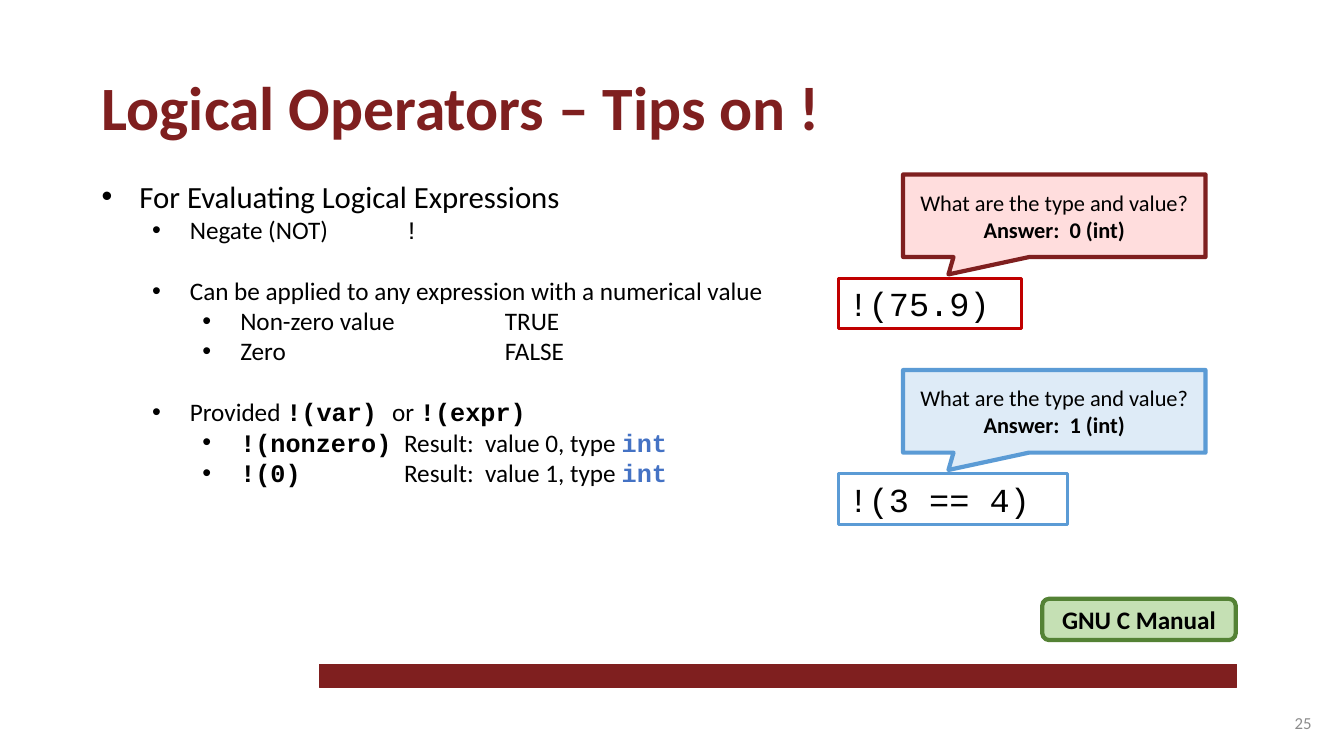
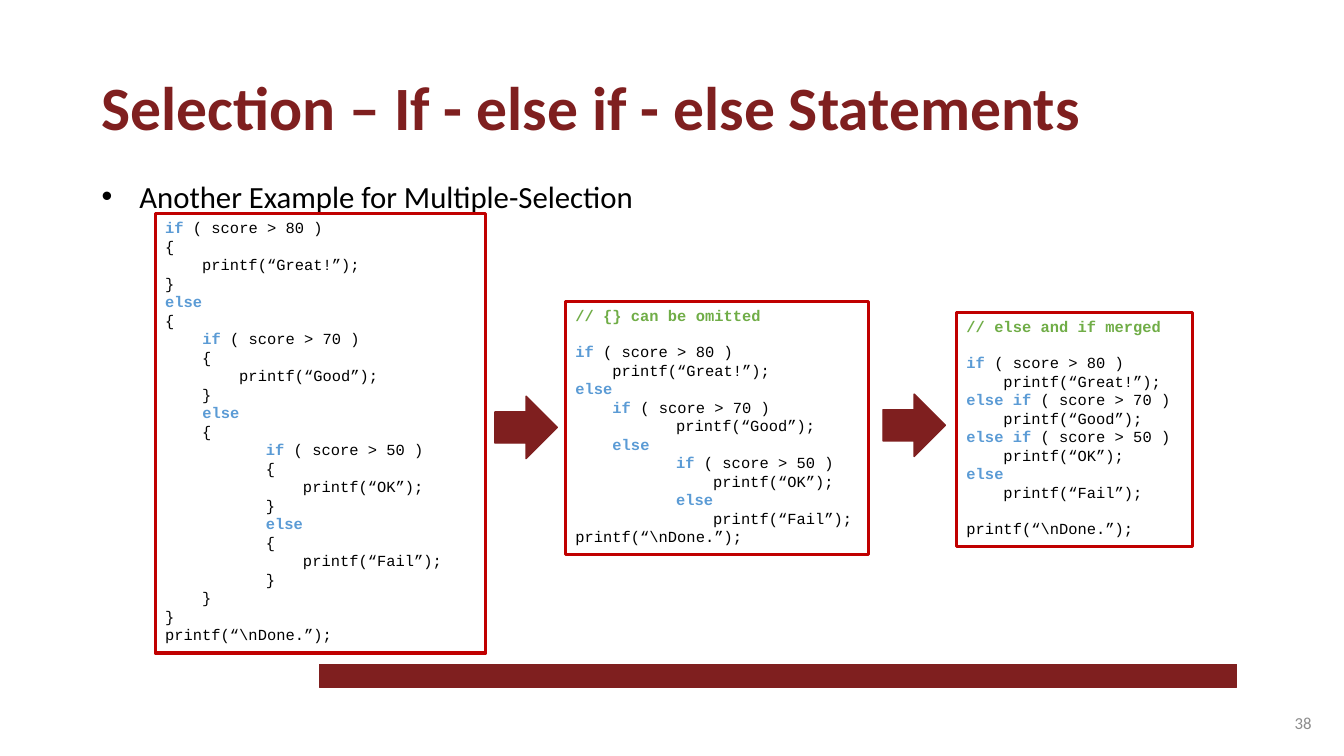
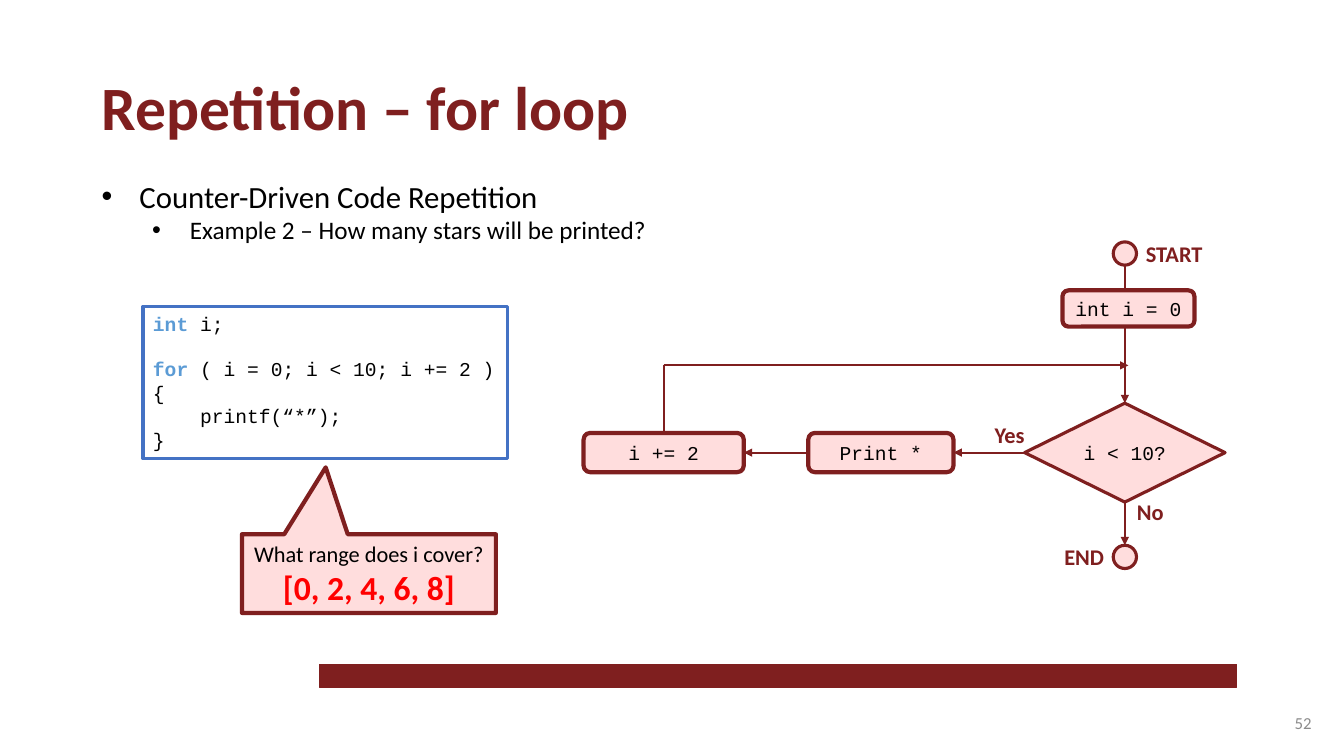
import dataclasses
import typing

import lxml.etree
import pptx
import pptx.dml.color
import pptx.enum.shapes
import pptx.enum.text
import pptx.oxml.ns
import pptx.shapes.base
import pptx.shapes.connector
import pptx.slide
import pptx.util

Pt = pptx.util.Pt
MSO = pptx.enum.shapes.MSO_SHAPE
ALIGN = pptx.enum.text.PP_ALIGN
ANCHOR = pptx.enum.text.MSO_ANCHOR
qn = pptx.oxml.ns.qn

MAROON, PINK, RED = "7F1F1F", "FFDDDD", "C00000"
BLUE, PALE_BLUE, ROYAL = "5B9BD5", "DEEBF7", "4472C4"
BLACK, WHITE, GRAY = "000000", "FFFFFF", "8C8C8C"
COMMENT, GREEN, PALE_GREEN = "70AD47", "548235", "C5E0B4"
SANS, MONO = "Calibri", "Courier New"
KEYWORDS = ("else if", "else", "if", "int", "for")
MONO_LEADING = 1.133
TAB = 72
INDENT, HANG = 36, 27


@dataclasses.dataclass(frozen=True)
class Run:
    text: str
    font: str = SANS
    color: str = BLACK
    bold: bool = False


@dataclasses.dataclass(frozen=True)
class Para:
    runs: tuple[Run, ...]
    size: float = 18
    align: typing.Any = ALIGN.LEFT
    before: float = 0
    level: typing.Optional[int] = None


@dataclasses.dataclass(frozen=True)
class Rect:
    x: float
    y: float
    w: float
    h: float


@dataclasses.dataclass(frozen=True)
class Style:
    fill: str
    line: str
    width: float


BAND = Style(MAROON, MAROON, 1)
NODE = Style(PINK, MAROON, 3)
THIN_NODE = Style(PINK, MAROON, 2.25)
CODE = Style(WHITE, RED, 2.25)


def rgb(color: str) -> pptx.dml.color.RGBColor:
    return pptx.dml.color.RGBColor.from_string(color)


def write(sp: typing.Any, paras: typing.Sequence[Para], anchor: typing.Any, wrap: bool = True) -> None:
    tf = sp.text_frame
    tf.word_wrap = wrap
    tf.vertical_anchor = anchor
    for i, para in enumerate(paras):
        p = tf.add_paragraph() if i else tf.paragraphs[0]
        ppr = p._p.get_or_add_pPr()
        ppr.set("defTabSz", str(Pt(TAB)))
        if para.level is not None:
            ppr.set("marL", str(Pt(HANG + INDENT * para.level)))
            ppr.set("indent", str(-Pt(HANG)))
            lxml.etree.SubElement(ppr, qn("a:buFont")).set("typeface", "Arial")
            lxml.etree.SubElement(ppr, qn("a:buChar")).set("char", "•")
        p.alignment = para.align
        if para.before:
            p.space_before = Pt(para.before)
        for run in para.runs:
            r = p.add_run()
            r.text = run.text
            r.font.name = run.font
            r.font.size = Pt(para.size)
            r.font.bold = run.bold
            r.font.color.rgb = rgb(run.color)


def add_text(s: pptx.slide.Slide, at: Rect, paras: typing.Sequence[Para], anchor: typing.Any = ANCHOR.TOP) -> None:
    sp = s.shapes.add_textbox(Pt(at.x), Pt(at.y), Pt(at.w), Pt(at.h))
    write(sp, paras, anchor)


def add_shape(
    s: pptx.slide.Slide,
    kind: typing.Any,
    at: Rect,
    style: Style,
    paras: typing.Sequence[Para] = (),
    anchor: typing.Any = ANCHOR.MIDDLE,
    wrap: bool = True,
    adjust: typing.Sequence[float] = (),
) -> pptx.shapes.base.BaseShape:
    sp = s.shapes.add_shape(kind, Pt(at.x), Pt(at.y), Pt(at.w), Pt(at.h))
    sp.shadow.inherit = False
    sp.fill.solid()
    sp.fill.fore_color.rgb = rgb(style.fill)
    sp.line.color.rgb = rgb(style.line)
    sp.line.width = Pt(style.width)
    for i, value in enumerate(adjust):
        sp.adjustments[i] = value
    if paras:
        write(sp, paras, anchor, wrap)
    return sp


def add_line(
    s: pptx.slide.Slide, x1: float, y1: float, x2: float, y2: float, arrow: bool = True
) -> pptx.shapes.connector.Connector:
    line = s.shapes.add_connector(
        pptx.enum.shapes.MSO_CONNECTOR.STRAIGHT, Pt(x1), Pt(y1), Pt(x2), Pt(y2))
    line.line.color.rgb = rgb(MAROON)
    line.line.width = Pt(1.5)
    if arrow:
        lxml.etree.SubElement(line.line._get_or_add_ln(), qn("a:tailEnd")).set("type", "triangle")
    lxml.etree.SubElement(line._element.spPr, qn("a:effectLst"))
    return line


def code_runs(line: str) -> tuple[Run, ...]:
    if line.startswith("//"):
        return (Run(line, MONO, COMMENT, True),)
    body = line.lstrip(" \t")
    lead = line[:len(line) - len(body)]
    word = next((k for k in KEYWORDS if body.startswith(k)), "")
    parts = (Run(lead, MONO), Run(word, MONO, BLUE, True), Run(body[len(word):], MONO))
    return tuple(part for part in parts if part.text)


def add_code(s: pptx.slide.Slide, at: Rect, code: str, size: float, style: Style = CODE) -> None:
    paras: list[Para] = []
    gap = 0.0
    for line in code.strip("\n").split("\n"):
        if line:
            paras.append(Para(code_runs(line), size, before=gap))
            gap = 0.0
        else:
            gap += round(size * MONO_LEADING, 2)
    add_shape(s, MSO.RECTANGLE, at, style, paras, ANCHOR.TOP)


def centered(text: str, size: float, font: str = SANS, color: str = BLACK, bold: bool = False) -> Para:
    return Para((Run(text, font, color, bold),), size, ALIGN.CENTER)


def bullet(level: int, *runs: Run, before: float = 0) -> Para:
    return Para(runs, 18 if level else 22, before=before, level=level)


def add_slide(
    prs: typing.Any, title: str, number: int, bullets: typing.Sequence[Para]
) -> pptx.slide.Slide:
    s = prs.slides.add_slide(prs.slide_layouts[6])
    add_shape(s, MSO.RECTANGLE, Rect(228.2, 474.5, 655.2, 16.6), BAND)
    add_text(s, Rect(65.5, 46, 828.7, 60.5), [Para((Run(title, color=MAROON, bold=True),), 44)])
    add_text(s, Rect(65.5, 123.1, 828.7, 252), bullets)
    add_text(s, Rect(727.9, 501.8, 216, 28.8),
             [Para((Run(str(number), color=GRAY),), 12, ALIGN.RIGHT)], ANCHOR.MIDDLE)
    return s


def logical_slide(prs: typing.Any) -> None:
    gap = 22
    int_type = Run("int", MONO, ROYAL, True)
    s = add_slide(prs, "Logical Operators – Tips on !", 25, [
        bullet(0, Run("For Evaluating Logical Expressions")),
        bullet(1, Run("Negate (NOT)\t"), Run("!", MONO)),
        bullet(1, Run("Can be applied to any expression with a numerical value"), before=gap),
        bullet(2, Run("Non-zero value \t\tTRUE")),
        bullet(2, Run("Zero\t\t\tFALSE")),
        bullet(1, Run("Provided "), Run("!(var) ", MONO, bold=True), Run("or "),
               Run("!(expr)", MONO, bold=True), before=gap),
        bullet(2, Run("!(nonzero)", MONO, bold=True), Run("\tResult:  value 0, type "), int_type),
        bullet(2, Run("!(0)", MONO, bold=True), Run("\t\tResult:  value 1, type "), int_type),
    ])
    add_shape(s, MSO.ROUNDED_RECTANGLE, Rect(744.5, 427.7, 138.2, 29.5),
              Style(PALE_GREEN, GREEN, 3), [centered("GNU C Manual", 18, bold=True)])
    questions = (
        ("!(75.9)", 131, "Answer:  0 (int)", CODE, NODE),
        ("!(3 == 4)", 163.4, "Answer:  1 (int)", Style(WHITE, BLUE, 2.25), Style(PALE_BLUE, BLUE, 3)),
    )
    for i, (expr, width, answer, box, callout) in enumerate(questions):
        y = 124.6 + 139.7 * i
        add_code(s, Rect(599, y + 74.1, width, 36), expr, 24, box)
        add_shape(s, MSO.RECTANGULAR_CALLOUT, Rect(645.1, y, 216, 59), callout,
                  [centered("What are the type and value?", 16), centered(answer, 16, bold=True)],
                  adjust=(-0.35, 0.71))


NESTED = """
if ( score > 80 )
{
    printf(“Great!”);
}
else
{
    if ( score > 70 )
    {
        printf(“Good”);
    }
    else
    {
\tif ( score > 50 )
\t{
\t    printf(“OK”);
\t}
\telse
\t{
\t    printf(“Fail”);
\t}
    }
}
printf(“\\nDone.”);
"""

UNBRACED = """
// {} can be omitted

if ( score > 80 )
    printf(“Great!”);
else
    if ( score > 70 )
\tprintf(“Good”);
    else
\tif ( score > 50 )
\t    printf(“OK”);
\telse
\t    printf(“Fail”);
printf(“\\nDone.”);
"""

MERGED = """
// else and if merged

if ( score > 80 )
    printf(“Great!”);
else if ( score > 70 )
    printf(“Good”);
else if ( score > 50 )
    printf(“OK”);
else
    printf(“Fail”);

printf(“\\nDone.”);
"""

STARS = """
int i;

for ( i = 0; i < 10; i += 2 )
{
    printf(“*”);
}
"""


def selection_slide(prs: typing.Any) -> None:
    s = add_slide(prs, "Selection – If - else if - else Statements", 38, [
        bullet(0, Run("Another Example for Multiple-Selection"))])
    add_code(s, Rect(110.9, 152.6, 236.2, 313.9), NESTED, 11)
    add_code(s, Rect(403.9, 215.3, 216.7, 180.7), UNBRACED, 11)
    add_code(s, Rect(683.3, 223.2, 168.5, 167), MERGED, 11)
    for x, y in ((353.5, 283), (630.7, 281.5)):
        add_shape(s, MSO.RIGHT_ARROW, Rect(x, y, 44.6, 44.6), BAND)


def loop_slide(prs: typing.Any) -> None:
    s = add_slide(prs, "Repetition – for loop", 52, [
        bullet(0, Run("Counter-Driven Code Repetition")),
        bullet(1, Run("Example 2 – How many stars will be printed?"))])
    add_code(s, Rect(102.2, 218.9, 260.6, 108.7), STARS, 14, Style(WHITE, ROYAL, 2.25))
    add_shape(s, MSO.RECTANGULAR_CALLOUT, Rect(172.8, 381.6, 181.4, 56.2), NODE,
              [centered("What range does i cover?", 16),
               centered("[0, 2, 4, 6, 8]", 24, color="FF0000", bold=True)],
              adjust=(-0.17, -1.35))

    axis, row, dot = 803.5, 323.3, 16.6
    start_y, end_y, loop_y = 172.8, 389.5, 261
    for y in (start_y, end_y):
        add_shape(s, MSO.OVAL, Rect(axis - dot / 2, y, dot, dot), THIN_NODE)
    test = add_shape(s, MSO.DIAMOND, Rect(axis - 71.6, row - 35.3, 143.2, 70.6), THIN_NODE,
                     [centered("i < 10?", 14, MONO)], wrap=False)
    add_line(s, axis, start_y + dot, axis, row - 35.3).end_connect(test, 0)
    add_line(s, axis, row + 35.3, axis, end_y).begin_connect(test, 2)

    body, step, _ = (
        add_shape(s, MSO.ROUNDED_RECTANGLE, at, NODE, [centered(text, 14, MONO)])
        for text, at in (
            ("Print *", Rect(577.4, row - 14, 103.7, 28)),
            ("i += 2", Rect(416.9, row - 14, 114.4, 28)),
            ("int i = 0", Rect(758.9, 207.4, 94.3, 25.9)),
        ))
    for source, target in ((test, body), (body, step)):
        line = add_line(s, 0, row, 0, row)
        line.begin_connect(source, 1)
        line.end_connect(target, 3)
    step_x = 474.1
    add_line(s, step_x, row - 14, step_x, loop_y, arrow=False).begin_connect(step, 0)
    add_line(s, step_x, loop_y, 806, loop_y)

    for text, x, y, w in (
        ("START", 811.4, 167.8, 82.8),
        ("No", 805, 352.1, 38.9),
        ("Yes", 703.4, 297.4, 42.5),
        ("END", 753.1, 384.5, 82.8),
    ):
        add_text(s, Rect(x, y, w, 26.6), [Para((Run(text, color=MAROON, bold=True),), 16)])


def main() -> None:
    prs = pptx.Presentation()
    prs.slide_width, prs.slide_height = Pt(960), Pt(540)
    logical_slide(prs)
    selection_slide(prs)
    loop_slide(prs)
    prs.save("out.pptx")


if __name__ == "__main__":
    main()
